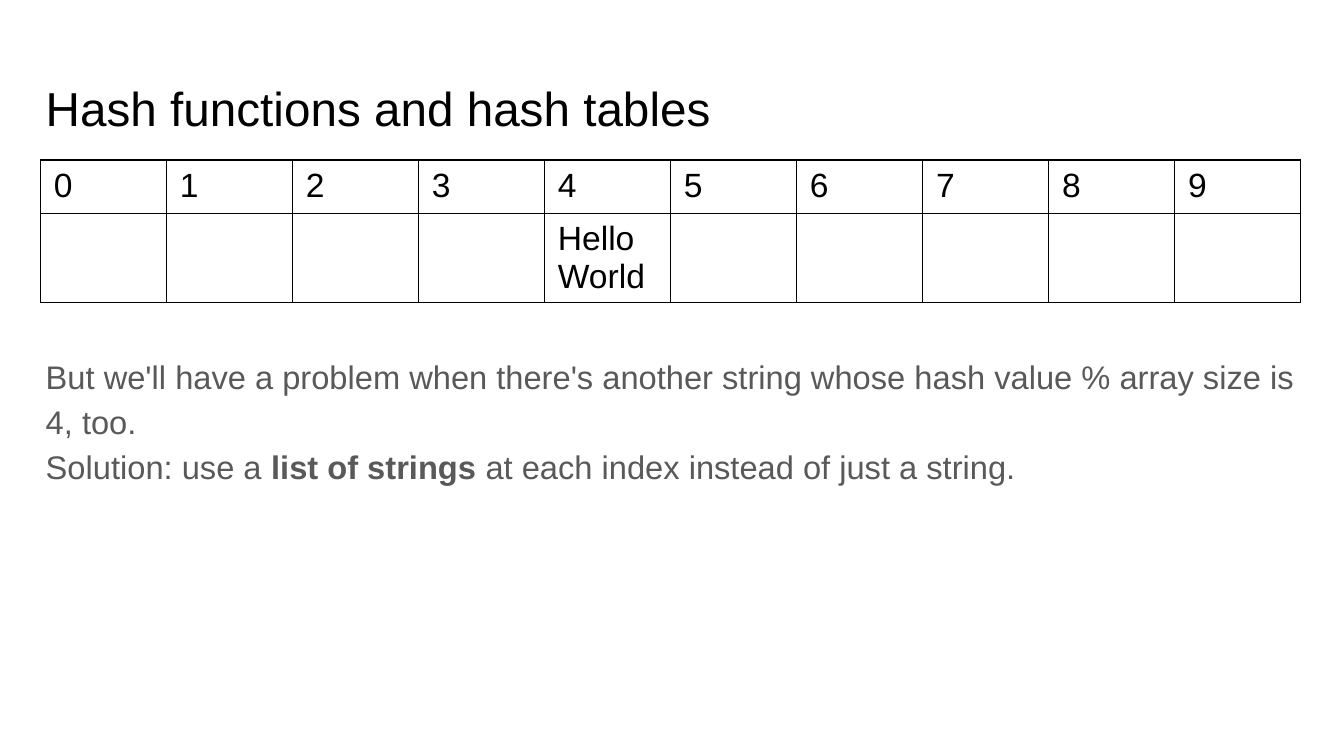
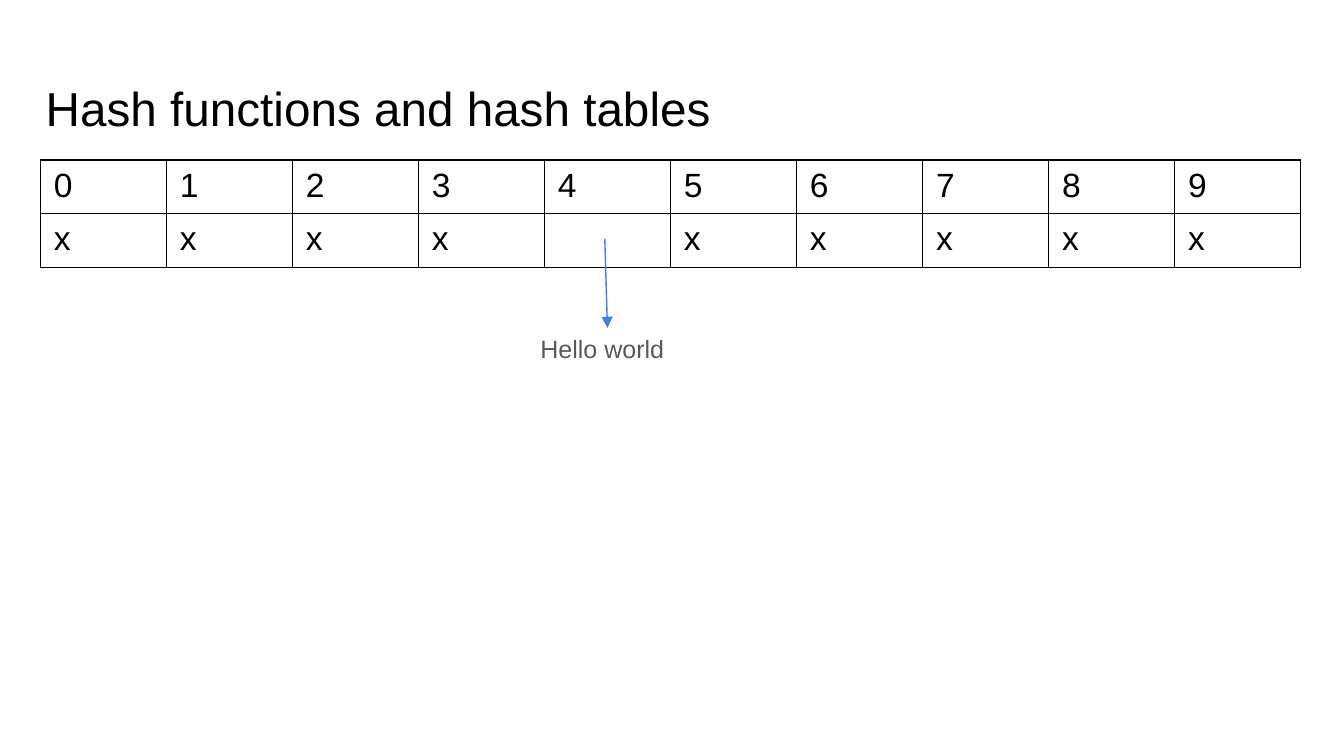
from lxml import etree
from pptx import Presentation
from pptx.dml.color import RGBColor
from pptx.enum.shapes import MSO_CONNECTOR
from pptx.enum.text import MSO_ANCHOR, MSO_AUTO_SIZE, PP_ALIGN
from pptx.oxml.ns import qn
from pptx.util import Inches, Pt

STRAIGHT = MSO_CONNECTOR.STRAIGHT
TOP = MSO_ANCHOR.TOP
NO_AUTOFIT = MSO_AUTO_SIZE.NONE
LEFT = PP_ALIGN.LEFT

FONT = "Arial"
BLACK = "000000"
GRAY = "595959"
BLUE = "3B7FF2"
TITLE = "Hash functions and hash tables"
TITLE_LAYOUT = 5
SIZE = 10
FILLED_INDEX = 4
CELL_SIZE = 18
HARD_SPACE = chr(160)


def color(value):
    return RGBColor.from_string(value)


class Deck:
    """Holds the shared style and the slide being built."""

    def __init__(self):
        self.presentation = Presentation()
        self.presentation.slide_width = Inches(10)
        self.presentation.slide_height = Inches(10 * 9 / 16)
        self.slide = None

    def style_paragraph(self, paragraph, size, text_color):
        paragraph.alignment = LEFT
        font = paragraph.font
        font.name = FONT
        font.size = Pt(size)
        font.color.rgb = color(text_color)

    def style_frame(self, frame):
        frame.word_wrap = True
        frame.auto_size = NO_AUTOFIT
        frame.vertical_anchor = TOP
        frame.margin_left = frame.margin_right = 0
        frame.margin_top = frame.margin_bottom = Inches(0.1)

    def add_slide(self, title):
        layout = self.presentation.slide_layouts[TITLE_LAYOUT]
        self.slide = self.presentation.slides.add_slide(layout)
        shape = self.slide.shapes.title
        shape.left, shape.top = Inches(0.34), Inches(0.49)
        shape.width, shape.height = Inches(9.32), Inches(0.63)
        shape.text_frame.text = title
        self.style_frame(shape.text_frame)
        self.style_paragraph(shape.text_frame.paragraphs[0], 25.5, BLACK)

    def add_text(self, left, top, width, height, paragraphs, size, spacing):
        box = self.slide.shapes.add_textbox(
            Inches(left), Inches(top), Inches(width), Inches(height))
        frame = box.text_frame
        self.style_frame(frame)
        for number, runs in enumerate(paragraphs):
            paragraph = frame.add_paragraph() if number else frame.paragraphs[0]
            paragraph.line_spacing = spacing
            self.style_paragraph(paragraph, size, GRAY)
            for text, bold in runs:
                run = paragraph.add_run()
                run.text = text
                run.font.bold = bold

    def add_border(self, cell):
        properties = cell._tc.get_or_add_tcPr()
        for side in ("a:lnL", "a:lnR", "a:lnT", "a:lnB"):
            line = etree.SubElement(properties, qn(side), w=str(Pt(0.75)))
            fill = etree.SubElement(line, qn("a:solidFill"))
            etree.SubElement(fill, qn("a:srgbClr"), val=BLACK)

    def fill_cell(self, cell, text):
        self.add_border(cell)
        cell.fill.background()
        paragraph = cell.text_frame.paragraphs[0]
        self.style_paragraph(paragraph, CELL_SIZE, BLACK)
        if text:
            paragraph.add_run().text = text
        else:
            ending = etree.SubElement(
                paragraph._p, qn("a:endParaRPr"), sz=str(CELL_SIZE * 100))
            etree.SubElement(ending, qn("a:latin"), typeface=FONT)

    def add_array(self, values, height):
        rows = [[str(index) for index in range(SIZE)], values]
        graphic = self.slide.shapes.add_table(
            len(rows), SIZE, Inches(0.3), Inches(1.19), Inches(9.38), Inches(height))
        table = graphic.table
        table.first_row = table.horz_banding = False
        for row, texts in zip(table.rows, rows):
            row.height = Inches(0.4)
            for cell, text in zip(row.cells, texts):
                self.fill_cell(cell, text)
        graphic.height = Inches(height)

    def add_arrow(self, start, end):
        arrow = self.slide.shapes.add_connector(
            STRAIGHT, *(Inches(value) for value in start + end))
        arrow.line.color.rgb = color(BLUE)
        arrow.line.width = Pt(0.75)
        properties = arrow._element.spPr
        etree.SubElement(properties.find(qn("a:ln")), qn("a:tailEnd"), type="triangle")
        etree.SubElement(properties, qn("a:effectLst"))


def array_values(filled, other):
    return [filled if index == FILLED_INDEX else other for index in range(SIZE)]


def main():
    deck = Deck()

    deck.add_slide(TITLE)
    deck.add_text(0.34, 2.51, 9.52, 2.97, [
        [("But we'll have a problem when there's another string whose hash value "
          "% array size is 4, too.", False)],
        [("Solution: use a ", False), ("list of strings", True),
         (" at each index instead of just a string.", False)],
    ], 17.5, 1.15)
    deck.add_array(array_values(f"Hello{HARD_SPACE}World", ""), 1.1)

    deck.add_slide(TITLE)
    deck.add_text(4.02, 2.4, 1.59, 0.41, [[("Hello world", False)]], 13.4, 0.95)
    deck.add_array(array_values("", "x"), 0.8)
    deck.add_arrow((4.5, 1.78), (4.52, 2.44))

    deck.presentation.save("out.pptx")


if __name__ == "__main__":
    main()
